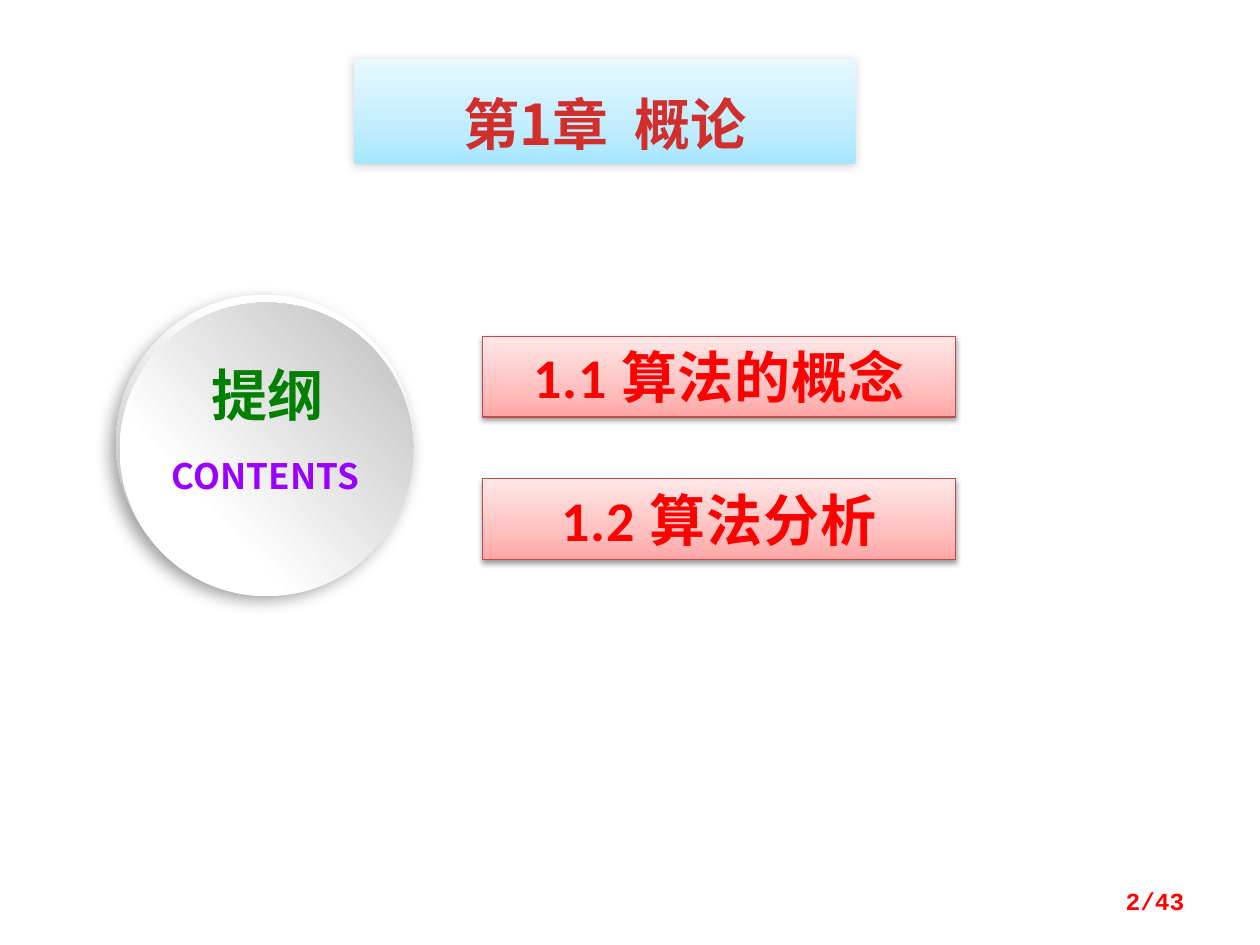
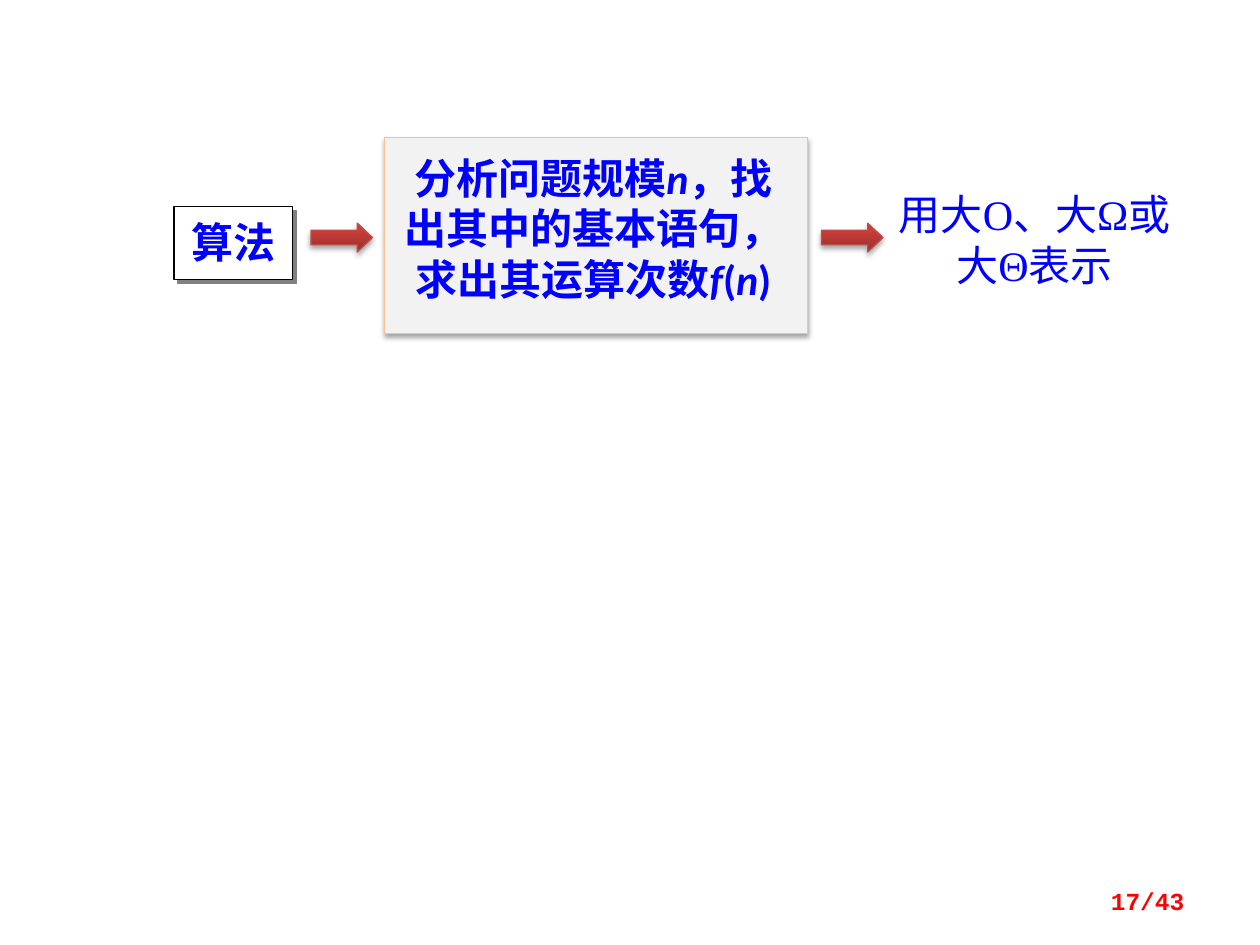
from lxml import etree
from pptx import Presentation
from pptx.dml.color import RGBColor
from pptx.enum.shapes import MSO_SHAPE as Shape
from pptx.enum.text import MSO_ANCHOR as Anchor, MSO_AUTO_SIZE as AutoSize, PP_ALIGN as Align
from pptx.oxml.ns import qn
from pptx.util import Cm, Pt

COLORS = {
    "white": "FFFFFF", "black": "000000", "red": "FF0000", "blue": "0000FF",
    "green": "008000", "violet": "9900FF", "title": "D02F2C", "gray": "808080",
    "panel": "F2F2F2", "panel_line": "FAC090", "red_line": "BF4C48",
}
# Each gradient: stops as (percent, colour), then the clockwise angle
GRADIENTS = {
    "sky": ([(0, "A7E6FF"), (35, "C1EDFF"), (100, "E7F8FF")], 270),
    "rose": ([(0, "FFA6A5"), (35, "FFC0BF"), (100, "FFE7E7")], 270),
    "brick": ([(0, "9C2F2D"), (80, "CB3E3A"), (100, "CE3B37")], 270),
    "rim": ([(17, "FFFFFF"), (88, "B8B8B8")], 107),
    "disc": ([(29, "FFFFFF"), (98, "BFBFBF")], 318),
}
# Each shadow: colour, opacity in percent, blur and distance in points, angle
SHADOWS = {
    "title": ("black", 20, 6, 1, 135),
    "topic": ("black", 38, 3.1, 1.6, 90),
    "step": ("black", 35, 3.1, 1.8, 90),
    "hard": ("gray", 100, 0, 2.8, 45),
    "disc": ("black", 39, 10, 5, 123),
}
CJK, LATIN, SERIF, MONO = "Noto Sans CJK SC", "Calibri", "Times New Roman", "Courier New"
PAGES = 43


def add_xml(parent, tag, **attrs):
    return etree.SubElement(parent, qn(tag), {k: str(v) for k, v in attrs.items()})


class Deck:
    def __init__(self):
        self.prs = Presentation()
        self.prs.slide_width, self.prs.slide_height = Cm(25.4), Cm(19.05)
        self.s = None

    def slide(self, number, titled=False):
        layout = self.prs.slide_layouts[5 if titled else 6]
        self.s = self.prs.slides.add_slide(layout)
        self.label((18.21, 17.65, 5.92, 1.02), f"{number}/{PAGES}", 14, "red",
                   font=MONO, align=Align.RIGHT, anchor=Anchor.MIDDLE)

    def paint(self, sp, fill, line=None, shadow=None):
        """Fill with a gradient or plain colour, and set outline and shadow."""
        if fill in GRADIENTS:
            self.gradient(sp, *GRADIENTS[fill])
        else:
            sp.fill.solid()
            sp.fill.fore_color.rgb = RGBColor.from_string(COLORS[fill])
        if line:
            sp.line.color.rgb = RGBColor.from_string(COLORS[line])
            sp.line.width = Pt(0.75)
        else:
            sp.line.fill.background()
        sp.shadow.inherit = False
        if shadow:
            color, alpha, blur, dist, angle = SHADOWS[shadow]
            effects = sp._element.spPr.find(qn("a:effectLst"))
            outer = add_xml(effects, "a:outerShdw", blurRad=int(Pt(blur)),
                            dist=int(Pt(dist)), dir=angle * 60000, rotWithShape=0)
            clr = add_xml(outer, "a:srgbClr", val=COLORS[color])
            add_xml(clr, "a:alpha", val=alpha * 1000)

    def gradient(self, sp, stops, angle):
        sp.fill.background()
        spPr = sp._element.spPr
        grad = add_xml(spPr, "a:gradFill", rotWithShape=1)
        spPr.replace(spPr.find(qn("a:noFill")), grad)
        gs_list = add_xml(grad, "a:gsLst")
        for percent, color in stops:
            add_xml(add_xml(gs_list, "a:gs", pos=percent * 1000), "a:srgbClr", val=color)
        add_xml(grad, "a:lin", ang=angle * 60000, scaled=0)

    def text(self, sp, runs, size, color, font=CJK, bold=True, align=Align.CENTER,
             anchor=Anchor.TOP, margins=(0.25, 0.13, 0.25, 0.13), spacing=0):
        """Write one paragraph; runs is a string or a list of (text, italic)."""
        tf = sp.text_frame
        tf.word_wrap, tf.auto_size, tf.vertical_anchor = True, AutoSize.NONE, anchor
        tf.margin_left, tf.margin_top, tf.margin_right, tf.margin_bottom = map(Cm, margins)
        p = tf.paragraphs[0]
        p.alignment = align
        for content, italic in [(runs, False)] if isinstance(runs, str) else runs:
            r = p.add_run()
            r.text = content
            r.font.size, r.font.name = Pt(size), font
            r.font.bold, r.font.italic = bold, italic
            r.font.color.rgb = RGBColor.from_string(COLORS[color])
            rPr = r._r.get_or_add_rPr()
            add_xml(rPr, "a:ea", typeface=CJK)
            if spacing:
                rPr.set("spc", str(int(spacing * 100)))

    def title(self, box, text):
        sp = self.s.shapes.title
        sp.left, sp.top, sp.width, sp.height = map(Cm, box)
        self.paint(sp, "sky", shadow="title")
        self.text(sp, text, 32, "title", margins=(0.25, 0.61, 0.25, 0.13))

    def shape(self, kind, box, fill, line=None, shadow=None):
        sp = self.s.shapes.add_shape(kind, *map(Cm, box))
        self.paint(sp, fill, line, shadow)
        return sp

    def label(self, box, text, size, color, **style):
        self.text(self.s.shapes.add_textbox(*map(Cm, box)), text, size, color, **style)

    def topic(self, row, text):
        sp = self.shape(Shape.RECTANGLE, (9.73, 6.78 + 2.87 * row, 9.53, 1.63),
                        "rose", "red_line", "topic")
        self.text(sp, text, 32, "red", font=LATIN, spacing=0.5)

    def step(self, box, runs, fill="white", line=None, shadow=None, **style):
        sp = self.shape(Shape.RECTANGLE, box, fill, line, shadow)
        self.text(sp, runs, 24, "blue", **style)

    def arrow(self, left):
        sp = self.shape(Shape.RIGHT_ARROW, (left, 4.5, 1.24, 0.58), "brick", "red_line", "step")
        sp.adjustments[1] = 0.53


def contents(deck):
    deck.slide(2, titled=True)
    deck.title((7.14, 1.19, 10.11, 2.11), "第1章  概论")
    for row, text in enumerate(["1.1 算法的概念", "1.2 算法分析"]):
        deck.topic(row, text)
    deck.shape(Shape.OVAL, (2.34, 5.94, 5.99, 5.99), "rim", shadow="disc")
    deck.shape(Shape.OVAL, (2.41, 6.1, 5.92, 5.92), "disc")
    deck.label((3.02, 9.04, 4.67, 1.12), "CONTENTS", 20, "violet")
    deck.label((3.43, 7.14, 3.91, 1.63), "提纲", 32, "green")


def analysis_steps(deck):
    deck.slide(17)
    deck.step((3.51, 4.17, 2.39, 1.47), "算法", line="black", shadow="hard",
              font=SERIF, margins=(0.3, 0.2, 0.3, 0.2))
    deck.step((7.75, 2.77, 8.53, 3.96),
              [("分析问题规模", False), ("n", True),
               ("，找出其中的基本语句，求出其运算次数", False),
               ("f", True), ("(", False), ("n", True), (")", False)],
              fill="panel", line="panel_line", shadow="step",
              font=LATIN, margins=(0.3, 0.3, 0.4, 0.4))
    deck.step((17.91, 3.76, 5.89, 2.59), "用大O、大Ω或大Θ表示",
              font=SERIF, bold=False, margins=(0, 0.05, 0, 0))
    for left in (6.27, 16.56):
        deck.arrow(left)


def main():
    deck = Deck()
    contents(deck)
    analysis_steps(deck)
    deck.prs.save("out.pptx")


if __name__ == "__main__":
    main()
